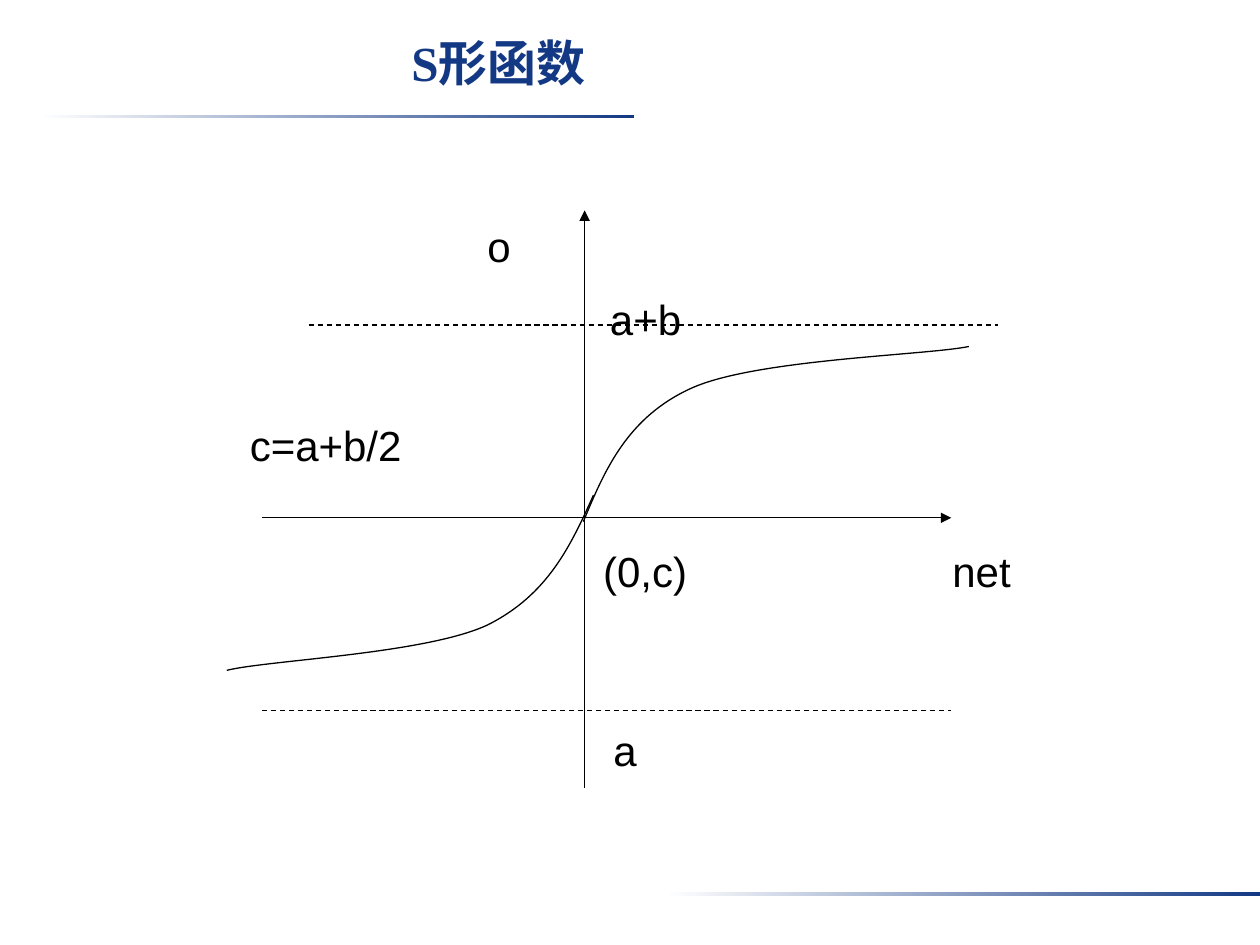
import pptx
import pptx.util
import pptx.dml.color
import pptx.enum.dml
import pptx.enum.shapes
import pptx.enum.text
import pptx.oxml.ns
import pptx.oxml.xmlchemy

Inches = pptx.util.Inches
Pt = pptx.util.Pt
qn = pptx.oxml.ns.qn
new_element = pptx.oxml.xmlchemy.OxmlElement

NAVY, BLACK, WHITE = "133984", "000000", "FFFFFF"

TITLE = ("S形函数 ", (-1, 0.2, 10, 0.75))
BARS = [(0.31, 0.91), (5.28, 7.08)]
BAR_SIZE = (4.72, 0.03)

AXES = [((2.08, 4.11), (7.55, 4.11)), ((4.64, 6.25), (4.64, 1.67))]
ASYMPTOTES = [((2.08, 5.64), (7.55, 5.64)), ((2.45, 2.58), (7.92, 2.58))]

CURVES = [
    [(4.71, 3.93), (4.53, 4.33), (4.35, 4.72), (3.87, 4.96),
     (3.38, 5.19), (2.12, 5.24), (1.8, 5.32)],
    [(4.63, 4.14), (4.8, 3.73), (4.98, 3.31), (5.49, 3.08),
     (6, 2.85), (7.35, 2.82), (7.69, 2.75)],
]

LABELS = [
    ("a+b ", (4.67, 2.25, 1, 0.51)),
    ("o", (3.75, 1.67, 0.42, 0.4)),
    ("(0,c)", (4.58, 4.25, 1.08, 0.51)),
    ("net", (7.33, 4.25, 0.92, 0.4)),
    ("a", (4.75, 5.67, 0.42, 0.4)),
    ("c=a+b/2", (1.67, 3.25, 1.83, 0.51)),
]


def color(value):
    return pptx.dml.color.RGBColor.from_string(value)


def add_bar(slide, corner):
    bar = slide.shapes.add_shape(
        pptx.enum.shapes.MSO_SHAPE.RECTANGLE, *map(Inches, corner + BAR_SIZE))
    bar.shadow.inherit = False
    bar.line.fill.background()
    bar.fill.gradient()
    bar.fill.gradient_angle = 0
    for stop, shade in zip(bar.fill.gradient_stops, (WHITE, NAVY)):
        stop.color.rgb = color(shade)


def add_text(slide, words, box, size, font, shade, bold=False, top=0.08):
    label = slide.shapes.add_textbox(*map(Inches, box))
    frame = label.text_frame
    frame.word_wrap = True
    frame.margin_top = Inches(top)
    frame.text = words
    paragraph = frame.paragraphs[0]
    paragraph.alignment = pptx.enum.text.PP_ALIGN.CENTER
    run = paragraph.runs[0]
    run.font.size = Pt(size)
    run.font.name = font
    run.font.bold = bold
    run.font.color.rgb = color(shade)


def style_line(line):
    line.color.rgb = color(BLACK)
    line.width = Pt(0.75)


def add_line(slide, start, end, arrow=False):
    connector = slide.shapes.add_connector(
        pptx.enum.shapes.MSO_CONNECTOR.STRAIGHT, *map(Inches, start + end))
    style_line(connector.line)
    properties = connector._element.spPr
    if arrow:
        tail = new_element("a:tailEnd")
        tail.set("type", "triangle")
        properties.find(qn("a:ln")).append(tail)
    else:
        connector.line.dash_style = pptx.enum.dml.MSO_LINE.DASH
    properties.append(new_element("a:effectLst"))


def add_curve(slide, points):
    start, *rest = [tuple(map(Inches, point)) for point in points]
    builder = slide.shapes.build_freeform(*start)
    builder.add_line_segments(rest, close=False)
    curve = builder.convert_to_shape()
    curve.shadow.inherit = False
    curve.fill.background()
    style_line(curve.line)
    segments = list(curve._element.iter(qn("a:lnTo")))
    for first in range(0, len(segments), 3):
        bezier = new_element("a:cubicBezTo")
        segments[first].addprevious(bezier)
        for segment in segments[first:first + 3]:
            bezier.append(segment[0])
            segment.getparent().remove(segment)


def main():
    deck = pptx.Presentation()
    deck.slide_width, deck.slide_height = Inches(10), Inches(7.5)
    slide = deck.slides.add_slide(deck.slide_layouts[6])
    for corner in BARS:
        add_bar(slide, corner)
    add_text(slide, *TITLE, 28, "Times New Roman", NAVY, bold=True, top=0.06)
    for start, end in AXES:
        add_line(slide, start, end, arrow=True)
    for start, end in ASYMPTOTES:
        add_line(slide, start, end)
    for points in CURVES:
        add_curve(slide, points)
    for words, box in LABELS:
        add_text(slide, words, box, 24, "Arial", BLACK)
    deck.save("out.pptx")


if __name__ == "__main__":
    main()
